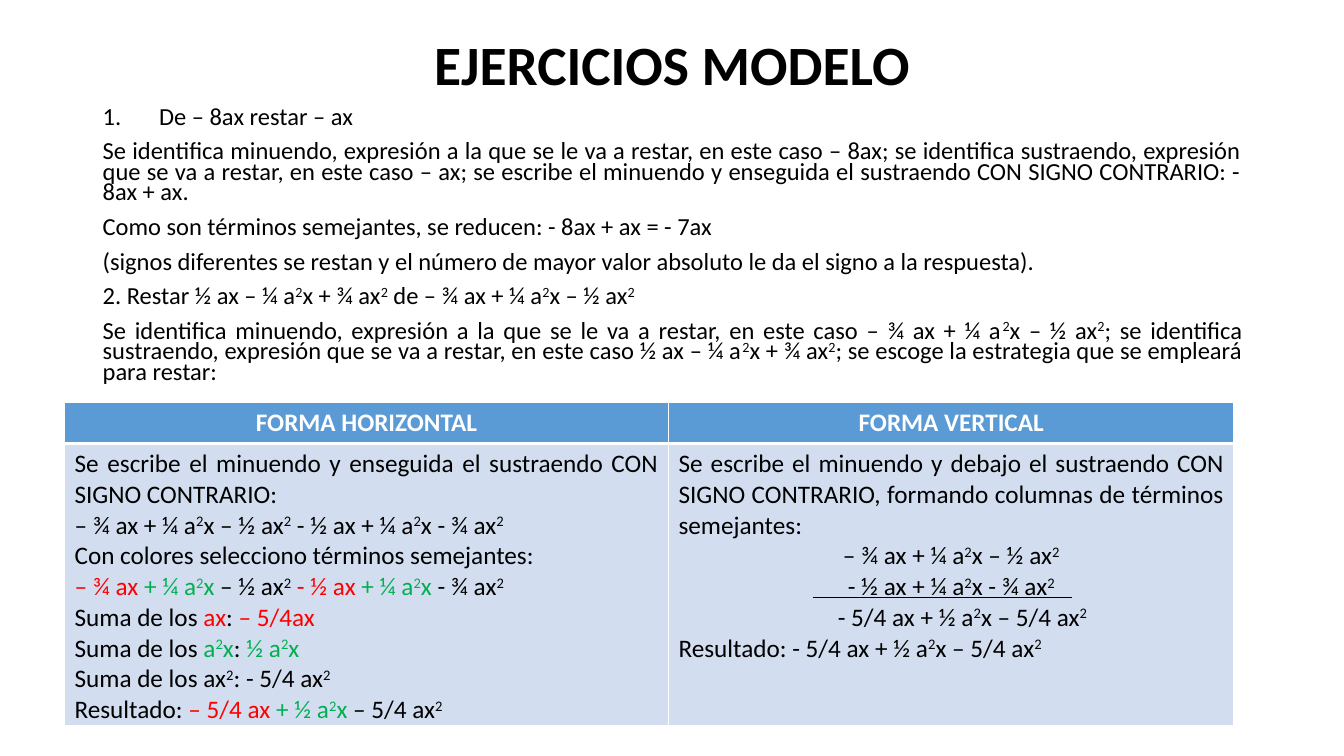
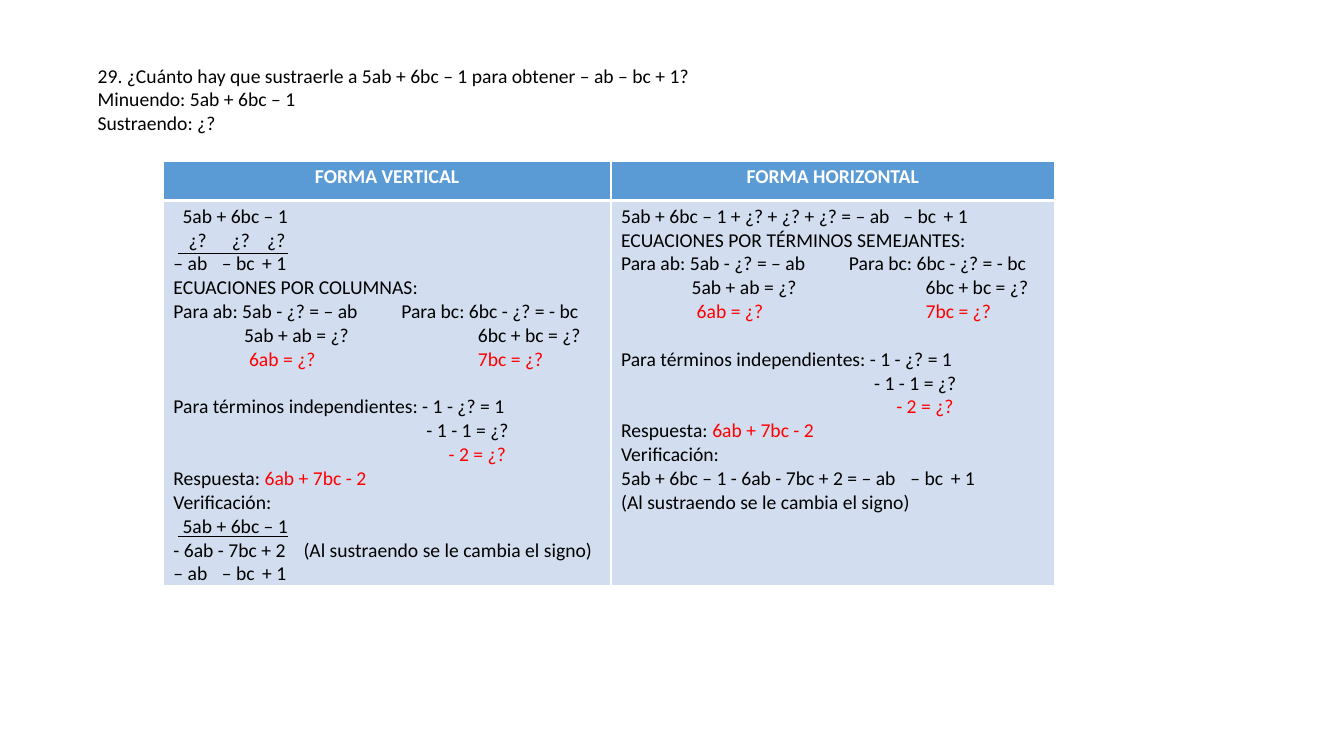
from lxml.etree import SubElement
from pptx import Presentation
from pptx.dml.color import RGBColor
from pptx.enum.shapes import MSO_CONNECTOR
from pptx.enum.text import MSO_ANCHOR, MSO_AUTO_SIZE, PP_ALIGN as Align
from pptx.oxml.ns import qn
from pptx.util import Pt

PX = 9144  # EMU in one px, 100 px to the inch
FONT = "Calibri"
COLORS = {
    "black": "000000",
    "white": "FFFFFF",
    "red": "FF0000",
    "green": "00B050",
    "header": "5B9BD5",
    "body": "D2DEEF",
}
TITLE_ONLY, BLANK = 5, 6

# Slide 1 content: "²" marks a raised 2, pairs hold text and colour
EXERCISE_STEPS = [
    "Se identifica minuendo, expresión a la que se le va a restar, en este caso – 8ax; "
    "se identifica sustraendo, expresión que se va a restar, en este caso – ax; se escribe "
    "el minuendo y enseguida el sustraendo CON SIGNO CONTRARIO: - 8ax + ax.",
    "Como son términos semejantes, se reducen: - 8ax + ax = - 7ax",
    "(signos diferentes se restan y el número de mayor valor absoluto le da el signo a la respuesta).",
    "2. Restar ½ ax – ¼ a²x + ¾ ax² de – ¾ ax + ¼ a²x – ½ ax²",
    "Se identifica minuendo, expresión a la que se le va a restar, en este caso "
    "– ¾ ax + ¼ a²x – ½ ax²; se identifica sustraendo, expresión que se va a restar, "
    "en este caso ½ ax – ¼ a²x + ¾ ax²; se escoge la estrategia que se empleará para restar:",
]
JUSTIFIED = {"align": Align.JUSTIFY}
CENTERED = {"align": Align.CENTER}
HORIZONTAL_METHOD = [(text, JUSTIFIED) for text in (
    "Se escribe el minuendo y enseguida el sustraendo CON SIGNO CONTRARIO:",
    "– ¾ ax + ¼ a²x – ½ ax² - ½ ax + ¼ a²x - ¾ ax²",
    "Con colores selecciono términos semejantes:",
    [("– ¾ ax ", "red"), ("+ ¼ a²x ", "green"), ("– ½ ax² ", "black"),
     ("- ½ ax ", "red"), ("+ ¼ a²x ", "green"), ("- ¾ ax²", "black")],
    [("Suma de los ", "black"), ("ax", "red"), (": ", "black"), ("– 5/4ax", "red")],
    [("Suma de los ", "black"), ("a²x", "green"), (": ", "black"), ("½ a²x", "green")],
    "Suma de los ax²: - 5/4 ax²",
    [("Resultado: ", "black"), ("– 5/4 ax ", "red"), ("+ ½ a²x ", "green"), ("– 5/4 ax²", "black")],
)]
VERTICAL_METHOD = [
    ("Se escribe el minuendo y debajo el sustraendo CON SIGNO CONTRARIO, "
     "formando columnas de términos semejantes:", JUSTIFIED),
    ("– ¾ ax + ¼ a²x – ½ ax²", CENTERED),
    ("- ½ ax + ¼ a²x - ¾ ax²", CENTERED),
    ("\t- 5/4 ax + ½ a²x – 5/4 ax²", {"tabs": (158,)}),
    ("Resultado: - 5/4 ax + ½ a²x – 5/4 ax²", JUSTIFIED),
]

# Slide 2 content: each line with its format
QUESTION = [
    "29. ¿Cuánto hay que sustraerle a 5ab + 6bc – 1 para obtener – ab – bc + 1?",
    "Minuendo: 5ab + 6bc – 1",
    "Sustraendo: ¿?",
]
MINUEND = ("\t5ab + 6bc – 1", {"tabs": (9,)})
DIFFERENCE = ("– ab\t– bc\t+ 1", {"tabs": (48, 88)})
NOTE = "(Al sustraendo se le cambia el signo)"
EQUATIONS = [
    ("Para ab: 5ab - ¿? = – ab\tPara bc: 6bc - ¿? = - bc", {"tabs": (226,)}),
    ("\t5ab + ab = ¿?\t6bc + bc = ¿?", {"tabs": (70, 302)}),
    ("\t6ab = ¿?\t7bc = ¿?", {"tabs": (75, 302), "color": "red"}),
    ("Para términos independientes: - 1 - ¿? = 1", {"before": 17}),
    ("\t- 1 - 1 = ¿?", {"tabs": (251,)}),
    ("\t- 2 = ¿?", {"tabs": (273,), "color": "red"}),
    ([("Respuesta: ", "black"), ("6ab + 7bc - 2", "red")], {}),
    ("Verificación:", {}),
]
BY_COLUMNS = [
    MINUEND,
    ("\t¿?\t¿?\t¿?", {"tabs": (15, 58, 93)}),
    DIFFERENCE,
    ("ECUACIONES POR COLUMNAS:", {}),
    *EQUATIONS,
    MINUEND,
    ("- 6ab - 7bc + 2\t" + NOTE, {"tabs": (129,)}),
    DIFFERENCE,
]
BY_TERMS = [
    ("5ab + 6bc – 1 + ¿? + ¿? + ¿? = – ab\t– bc\t+ 1", {"tabs": (280, 320)}),
    ("ECUACIONES POR TÉRMINOS SEMEJANTES:", {}),
    *EQUATIONS,
    ("5ab + 6bc – 1 - 6ab - 7bc + 2 = – ab\t– bc\t+ 1", {"tabs": (287, 327)}),
    (NOTE, {}),
]


def px(*lengths):
    return [length * PX for length in lengths]


def rgb(name):
    return RGBColor.from_string(COLORS[name])


def write(frame, text, size=18, color="black", bold=False, align=Align.LEFT,
          spacing=None, before=0, tabs=(), number_indent=0):
    """Add one paragraph; text is a string or a list of (text, colour) pairs."""
    paragraph = frame.paragraphs[-1]
    if paragraph.runs:
        paragraph = frame.add_paragraph()
    paragraph.alignment = align
    paragraph.space_before = Pt(before)
    if spacing:
        paragraph.line_spacing = spacing
    properties = paragraph._p.get_or_add_pPr()
    if number_indent:
        properties.set("marL", str(number_indent * PX))
        properties.set("indent", str(-number_indent * PX))
        SubElement(properties, qn("a:buAutoNum"), type="arabicPeriod")
    if tabs:
        stops = SubElement(properties, qn("a:tabLst"))
        for position in tabs:
            SubElement(stops, qn("a:tab"), pos=str(position * PX), algn="l")

    def add_run(content, run_color, raised=False):
        run = paragraph.add_run()
        run.text = content
        run.font.name, run.font.size, run.font.bold = FONT, Pt(size), bold
        run.font.color.rgb = rgb(run_color)
        if raised:
            run._r.get_or_add_rPr().set("baseline", "30000")

    for content, run_color in [(text, color)] if isinstance(text, str) else text:
        for index, part in enumerate(content.split("²")):
            if index:
                add_run("2", run_color, raised=True)
            if part:
                add_run(part, run_color)


def add_title(slide, text, left, top, width, height):
    title = slide.shapes.title
    title.left, title.top, title.width, title.height = px(left, top, width, height)
    frame = title.text_frame
    frame.auto_size = MSO_AUTO_SIZE.NONE
    frame.vertical_anchor = MSO_ANCHOR.MIDDLE
    write(frame, text, size=39.6, bold=True, align=Align.CENTER, spacing=0.9)


def add_text_area(slide, left, top, width, height):
    frame = slide.shapes.add_textbox(*px(left, top, width, height)).text_frame
    frame.word_wrap = True
    return frame


def set_borders(cell, top, bottom):
    properties = cell._tc.get_or_add_tcPr()
    for side, points in (("L", 1), ("R", 1), ("T", top), ("B", bottom)):
        line = SubElement(properties, qn("a:ln" + side), w=str(Pt(points)))
        fill = SubElement(line, qn("a:solidFill"))
        SubElement(fill, qn("a:srgbClr"), val=COLORS["white"])


def add_method_table(slide, left, top, columns, rows, methods, size, margins=(5, 5)):
    """Draw one column per method: a heading above its worked lines."""
    table = slide.shapes.add_table(
        2, len(methods), *px(left, top, sum(columns), sum(rows))).table
    for row, height in zip(table.rows, rows):
        row.height = height * PX
    for index, (heading, lines) in enumerate(methods):
        table.columns[index].width = columns[index] * PX
        header, body = table.cell(0, index), table.cell(1, index)
        set_borders(header, top=1, bottom=3)
        set_borders(body, top=3, bottom=1)
        for cell, fill in ((header, "header"), (body, "body")):
            cell.fill.solid()
            cell.fill.fore_color.rgb = rgb(fill)
            cell.margin_top, cell.margin_bottom = px(*margins)
        write(header.text_frame, heading, size=size, color="white", bold=True, align=Align.CENTER)
        for text, style in lines:
            write(body.text_frame, text, size=size, **style)


def add_sum_line(slide, left, right, y):
    line = slide.shapes.add_connector(MSO_CONNECTOR.STRAIGHT, *px(left, y, right, y))
    line.line.color.rgb = rgb("black")
    line.line.width = Pt(0.5)
    SubElement(line._element.spPr, qn("a:effectLst"))


def build_model_exercises(deck):
    slide = deck.slides.add_slide(deck.slide_layouts[TITLE_ONLY])
    add_title(slide, "EJERCICIOS MODELO", 419, 31, 495, 72)
    steps = add_text_area(slide, 92, 103, 1150, 311)
    step_style = {"size": 17.5, "align": Align.JUSTIFY, "spacing": 0.7, "before": 10}
    write(steps, "De – 8ax restar – ax", number_indent=56, **step_style)
    for step in EXERCISE_STEPS:
        write(steps, step, **step_style)
    add_method_table(slide, 64, 399, (599, 561), (41, 280), size=18, methods=[
        ("FORMA HORIZONTAL", HORIZONTAL_METHOD), ("FORMA VERTICAL", VERTICAL_METHOD)])
    add_sum_line(slide, 806, 1063, 593)


def build_missing_subtrahend(deck):
    slide = deck.slides.add_slide(deck.slide_layouts[BLANK])
    question = add_text_area(slide, 87, 58, 1019, 81)
    for line in QUESTION:
        write(question, line, size=14)
    add_method_table(slide, 162, 160, (444, 440), (39, 382), size=14, margins=(4, 0), methods=[
        ("FORMA VERTICAL", BY_COLUMNS), ("FORMA HORIZONTAL", BY_TERMS)])
    for y in (251, 532):
        add_sum_line(slide, 177, 286, y)


def main():
    deck = Presentation()
    deck.slide_width, deck.slide_height = px(1333, 750)
    build_model_exercises(deck)
    build_missing_subtrahend(deck)
    deck.save("out.pptx")


if __name__ == "__main__":
    main()
